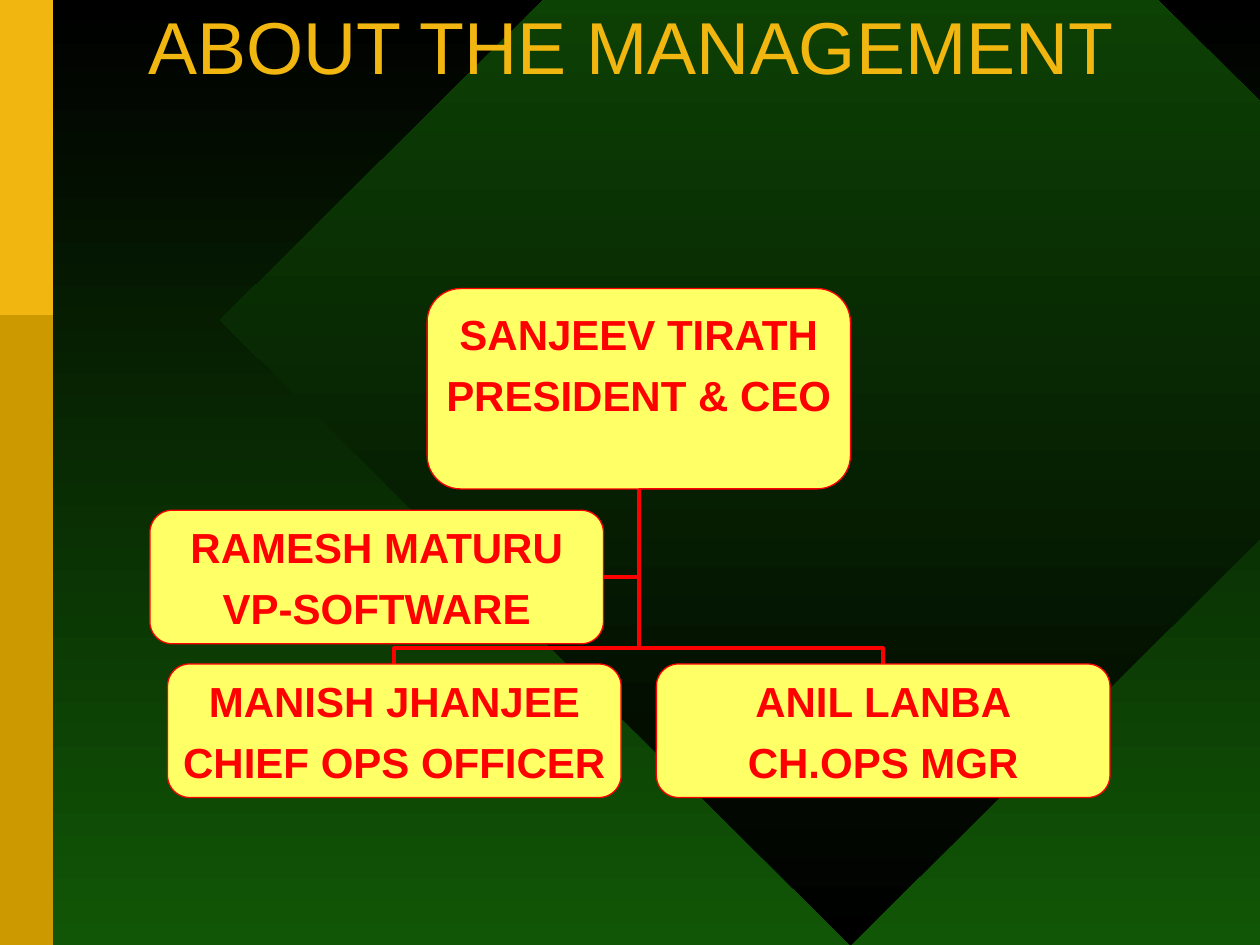
import pptx
import pptx.dml.color
import pptx.enum.shapes
import pptx.enum.text
import pptx.oxml
import pptx.oxml.ns
import pptx.util
from pptx.util import Inches

RGBColor = pptx.dml.color.RGBColor
SHAPE = pptx.enum.shapes.MSO_SHAPE
ALIGN = pptx.enum.text.PP_ALIGN
MIDDLE = pptx.enum.text.MSO_ANCHOR.MIDDLE
ELBOW = pptx.enum.shapes.MSO_CONNECTOR.ELBOW

BLACK = RGBColor(0x00, 0x00, 0x00)
GREEN = RGBColor(0x11, 0x56, 0x06)
OCHRE = RGBColor(0xCC, 0x99, 0x00)
GOLD = RGBColor(0xF1, 0xB6, 0x0F)
YELLOW = RGBColor(0xFF, 0xFF, 0x66)
RED = RGBColor(0xFF, 0x00, 0x00)
FONT = "Arial"

BOX_WIDTH, BOX_HEIGHT = 3.6, 1.06
CEO_LEFT, CEO_TOP, CEO_WIDTH, CEO_HEIGHT = 3.39, 2.29, 3.36, 1.59
TRUNK_X, TRUNK_TOP = CEO_LEFT + CEO_WIDTH / 2, CEO_TOP + CEO_HEIGHT
VP_LEFT, VP_TOP = 1.19, 4.05
REPORTS_TOP = 5.27
REPORTS = [
    (1.33, ["MANISH JHANJEE", "CHIEF OPS OFFICER"]),
    (5.21, ["ANIL LANBA", "CH.OPS MGR"]),
]


def fill_downward(fill, top_color, bottom_color):
    fill.gradient()
    fill.gradient_angle = 270
    for stop, position, color in zip(fill.gradient_stops, (0, 1), (top_color, bottom_color)):
        stop.position = position
        stop.color.rgb = color


def add_plain_shape(slide, preset, left, top, width, height):
    shape = slide.shapes.add_shape(
        preset, Inches(left), Inches(top), Inches(width), Inches(height))
    shape.shadow.inherit = False
    shape.line.fill.background()
    return shape


def add_backdrop(slide):
    fill_downward(slide.background.fill, BLACK, GREEN)
    diamond = add_plain_shape(slide, SHAPE.DIAMOND, 1.75, -2.42, 10, 9.92)
    fill_downward(diamond.fill, GREEN, BLACK)
    for height, color in ((7.5, OCHRE), (2.5, GOLD)):
        side_bar = add_plain_shape(slide, SHAPE.RECTANGLE, 0, 0, 0.42, height)
        side_bar.fill.solid()
        side_bar.fill.fore_color.rgb = color


def set_title(slide, text):
    title = slide.shapes.title
    title.left, title.top = Inches(1.08), Inches(0)
    title.width, title.height = Inches(8.25), Inches(0.83)
    frame = title.text_frame
    frame.text = text
    frame.auto_size = pptx.enum.text.MSO_AUTO_SIZE.NONE
    frame.vertical_anchor = MIDDLE
    heading = frame.paragraphs[0]
    heading.alignment = ALIGN.LEFT
    heading.line_spacing = 0.85
    heading.font.name = FONT
    heading.font.size = pptx.util.Pt(42)
    heading.font.color.rgb = GOLD
    # Bring the title in front of the backdrop.
    slide.shapes._spTree.append(title._element)


def add_elbow(slide, start, end):
    connector = slide.shapes.add_connector(ELBOW, *map(Inches, start + end))
    connector.line.color.rgb = RED
    connector.line.width = pptx.util.Pt(2.25)
    properties = connector._element.spPr
    properties.append(pptx.oxml.parse_xml(
        f"<a:effectLst {pptx.oxml.ns.nsdecls('a')}/>"))
    return properties


def add_assistant_link(slide):
    start = (VP_LEFT + BOX_WIDTH, VP_TOP + BOX_HEIGHT / 2)
    properties = add_elbow(slide, start, (TRUNK_X, TRUNK_TOP))
    properties.find(pptx.oxml.ns.qn("a:prstGeom")).set("prst", "bentConnector2")


def add_report_link(slide, report_x):
    """Run an elbow up from a report, laid out sideways and turned by 270 degrees."""
    rise, run = REPORTS_TOP - TRUNK_TOP, TRUNK_X - report_x
    middle_x, middle_y = (TRUNK_X + report_x) / 2, (REPORTS_TOP + TRUNK_TOP) / 2
    properties = add_elbow(
        slide,
        (middle_x - rise / 2, middle_y - run / 2),
        (middle_x + rise / 2, middle_y + run / 2))
    properties.find(pptx.oxml.ns.qn("a:xfrm")).set("rot", str(270 * 60000))
    adjustments = properties.find(pptx.oxml.ns.qn("a:prstGeom")).get_or_add_avLst()
    adjustments.append(pptx.oxml.parse_xml(
        f'<a:gd {pptx.oxml.ns.nsdecls("a")} name="adj1" fmla="val 8900"/>'))


def add_person(slide, lines, left, top, width=BOX_WIDTH, height=BOX_HEIGHT, bottom_inset=0.03):
    person = add_plain_shape(slide, SHAPE.ROUNDED_RECTANGLE, left, top, width, height)
    person.fill.solid()
    person.fill.fore_color.rgb = YELLOW
    person.line.color.rgb = RED
    person.line.width = pptx.util.Pt(0.75)
    frame = person.text_frame
    frame.word_wrap = False
    frame.vertical_anchor = MIDDLE
    frame.margin_left = frame.margin_right = Inches(0.07)
    frame.margin_top, frame.margin_bottom = Inches(0.03), Inches(bottom_inset)
    frame.text = "\n".join(lines)
    for index, paragraph in enumerate(frame.paragraphs):
        paragraph.alignment = ALIGN.CENTER
        if index:
            paragraph.space_before = pptx.util.Pt(6)
        paragraph.font.name = FONT
        paragraph.font.size = pptx.util.Pt(24)
        paragraph.font.bold = True
        paragraph.font.color.rgb = RED


def add_org_chart(slide):
    add_assistant_link(slide)
    for left, _ in REPORTS:
        add_report_link(slide, left + BOX_WIDTH / 2)
    add_person(slide, ["SANJEEV TIRATH", "PRESIDENT & CEO"],
               CEO_LEFT, CEO_TOP, CEO_WIDTH, CEO_HEIGHT, bottom_inset=0.42)
    for left, lines in REPORTS:
        add_person(slide, lines, left, REPORTS_TOP)
    add_person(slide, ["RAMESH MATURU", "VP-SOFTWARE"], VP_LEFT, VP_TOP)


def main():
    presentation = pptx.Presentation()
    presentation.slide_width, presentation.slide_height = Inches(10), Inches(7.5)
    slide = presentation.slides.add_slide(presentation.slide_layouts[5])
    add_backdrop(slide)
    set_title(slide, "ABOUT THE MANAGEMENT")
    add_org_chart(slide)
    presentation.save("out.pptx")


if __name__ == "__main__":
    main()
